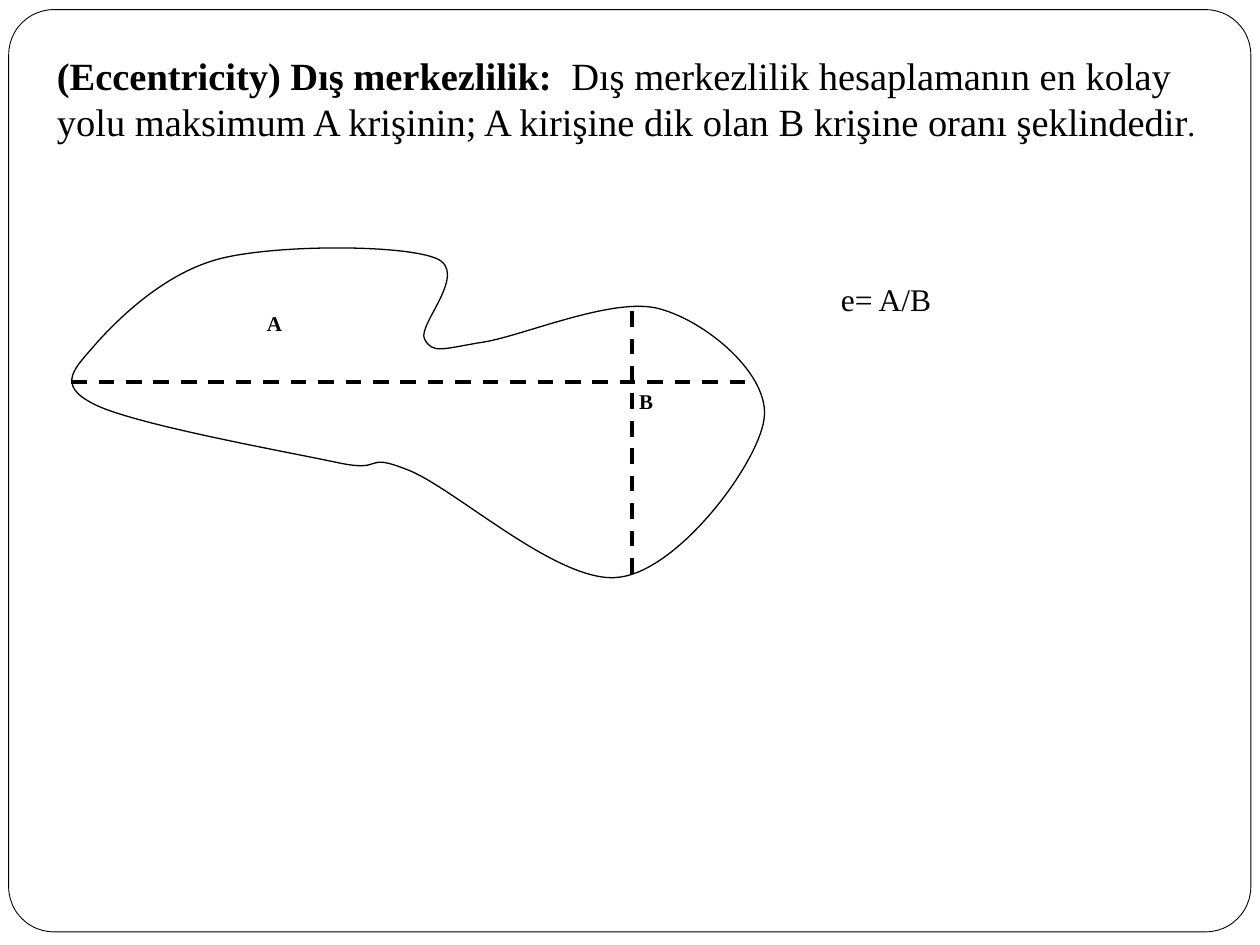
from itertools import chain

from lxml.etree import Element, SubElement
from pptx import Presentation
from pptx.dml.color import RGBColor
from pptx.enum.dml import MSO_LINE
from pptx.enum.shapes import MSO_CONNECTOR, MSO_SHAPE
from pptx.oxml.ns import qn
from pptx.util import Pt

BLACK = RGBColor(0, 0, 0)
WHITE = RGBColor(255, 255, 255)
FONT = "Times New Roman"

OUTLINE_START = (242.6, 193.7)
OUTLINE_CURVES = [
    ((238.3, 185.8), (268.6, 155.5), (249.1, 147.6)),
    ((229.7, 139.7), (159.1, 139.7), (126.7, 147.6)),
    ((94.3, 155.5), (67.7, 182.2), (55.4, 195.8)),
    ((43.2, 210.2), (31, 219.6), (54, 231.1)),
    ((77, 242.6), (162, 257.8), (192.2, 264.2)),
    ((221.8, 270.7), (205.9, 257.8), (233.3, 268.6)),
    ((260.6, 279.4), (320.4, 334.8), (354.2, 329.8)),
    ((388.1, 325.4), (432.7, 265.7), (436.6, 239.8)),
    ((440.6, 214.6), (403.9, 183.6), (376.6, 176.4)),
    ((349.9, 169.2), (296.6, 193), (274.3, 195.8)),
    ((252.7, 199.4), (247, 202.3), OUTLINE_START),
]


def style_shape(shape, line_width):
    shape.shadow.inherit = False
    shape.fill.solid()
    shape.fill.fore_color.rgb = WHITE
    shape.line.color.rgb = BLACK
    shape.line.width = Pt(line_width)


def add_frame(shapes, left, top, width, height):
    frame = shapes.add_shape(
        MSO_SHAPE.ROUNDED_RECTANGLE, Pt(left), Pt(top), Pt(width), Pt(height)
    )
    frame.adjustments[0] = 0.049
    style_shape(frame, 0.5)


def turn_lines_into_curves(shape):
    segments = list(shape._element.iter(qn("a:lnTo")))
    for first in range(0, len(segments), 3):
        curve = Element(qn("a:cubicBezTo"))
        segments[first].addprevious(curve)
        for segment in segments[first:first + 3]:
            curve.append(segment[0])
            segment.getparent().remove(segment)


def add_outline(shapes, start, curves):
    builder = shapes.build_freeform(Pt(start[0]), Pt(start[1]))
    points = [(Pt(x), Pt(y)) for x, y in chain.from_iterable(curves)]
    builder.add_line_segments(points, close=False)
    builder.add_line_segments([], close=True)
    outline = builder.convert_to_shape()
    turn_lines_into_curves(outline)
    style_shape(outline, 0.75)


def add_chord(shapes, start, end):
    chord = shapes.add_connector(
        MSO_CONNECTOR.STRAIGHT, Pt(start[0]), Pt(start[1]), Pt(end[0]), Pt(end[1])
    )
    chord.line.color.rgb = BLACK
    chord.line.width = Pt(2.25)
    chord.line.dash_style = MSO_LINE.DASH
    SubElement(chord._element.spPr, qn("a:effectLst"))


def add_text(shapes, left, top, width, height, runs):
    box = shapes.add_textbox(Pt(left), Pt(top), Pt(width), Pt(height))
    box.text_frame.word_wrap = True
    paragraph = box.text_frame.paragraphs[0]
    paragraph.font.name = FONT
    paragraph.font.color.rgb = BLACK
    for text, size, bold in runs:
        run = paragraph.add_run()
        run.text = text
        run.font.size = Pt(size)
        run.font.bold = bold


def add_diagram(slide):
    shapes = slide.shapes.add_group_shape().shapes
    add_outline(shapes, OUTLINE_START, OUTLINE_CURVES)
    add_chord(shapes, (361, 177.8), (361, 329))
    add_text(shapes, 358.2, 218.2, 38.9, 59.8, [("B", 12, True)])
    add_chord(shapes, (40.7, 218.2), (431.3, 218.2))
    add_text(shapes, 145.4, 174.2, 54.7, 52.6, [("A", 12, True)])


def main():
    presentation = Presentation()
    presentation.slide_width = Pt(720)
    presentation.slide_height = Pt(540)
    slide = presentation.slides.add_slide(presentation.slide_layouts[6])

    add_frame(slide.shapes, 5, 5.5, 709.8, 527)
    add_text(slide.shapes, 25.5, 26.2, 674.6, 86.4, [
        ("(Eccentricity) Dış merkezlilik:  ", 22, True),
        ("Dış merkezlilik hesaplamanın en kolay yolu maksimum A krişinin; "
         "A kirişine dik olan B krişine oranı şeklindedir", 22, False),
        (".", 18, False),
    ])
    add_diagram(slide)
    add_text(slide.shapes, 473.4, 156.6, 124.6, 28.8, [("e= A/B", 18, False)])

    presentation.save("out.pptx")


if __name__ == "__main__":
    main()
